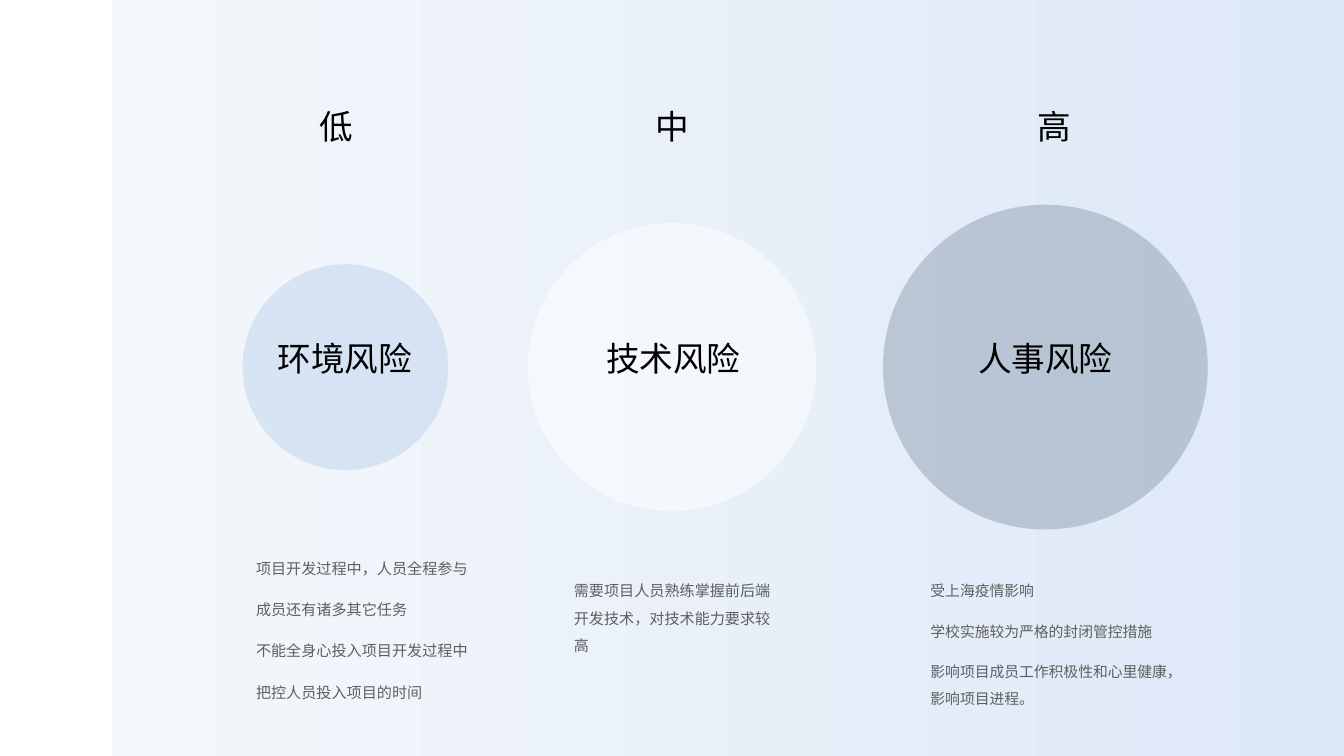
import pptx
import pptx.util
import pptx.dml.color
import pptx.enum.shapes
import pptx.enum.text
import pptx.oxml.ns
import lxml.etree
from dataclasses import dataclass

Pt = pptx.util.Pt
Align = pptx.enum.text.PP_ALIGN
Shape = pptx.enum.shapes.MSO_SHAPE


@dataclass(frozen=True)
class Theme:
    font: str = "Calibri"
    ink: str = "000000"
    note_ink: str = "5F5F5F"
    band_start: str = "F4F7FC"
    band_end: str = "DDE8F6"
    low: str = "6F9FD9"
    medium: str = "FFFFFF"
    high: str = "132B49"
    label_size: float = 24
    note_size: float = 10.8
    small_note_size: float = 10.6


def rgb(colour):
    return pptx.dml.color.RGBColor.from_string(colour)


class RiskSlide:
    def __init__(self, slide, theme):
        self.slide = slide
        self.theme = theme

    def shape(self, kind, left, top, width, height):
        shape = self.slide.shapes.add_shape(
            kind, Pt(left), Pt(top), Pt(width), Pt(height))
        shape.shadow.inherit = False
        shape.line.fill.background()
        return shape

    def band(self, left, width, height):
        band = self.shape(Shape.RECTANGLE, left, 0, width, height)
        band.fill.gradient()
        band.fill.gradient_angle = 0
        colours = (self.theme.band_start, self.theme.band_end)
        for stop, colour in zip(band.fill.gradient_stops, colours):
            stop.color.rgb = rgb(colour)
        # Send the band behind the placeholders
        self.slide.shapes._spTree.insert(2, band._element)

    def circle(self, centre_x, centre_y, diameter, colour, opacity):
        circle = self.shape(Shape.OVAL, centre_x - diameter / 2,
                            centre_y - diameter / 2, diameter, diameter)
        circle.fill.solid()
        circle.fill.fore_color.rgb = rgb(colour)
        srgb = circle._element.spPr.find(".//" + pptx.oxml.ns.qn("a:srgbClr"))
        alpha = lxml.etree.SubElement(srgb, pptx.oxml.ns.qn("a:alpha"))
        alpha.set("val", str(opacity * 1000))

    def fill_text(self, frame, lines, size, colour, align, line_spacing):
        frame.word_wrap = True
        frame.auto_size = pptx.enum.text.MSO_AUTO_SIZE.NONE
        frame.vertical_anchor = pptx.enum.text.MSO_ANCHOR.TOP
        frame.margin_left = frame.margin_right = Pt(9.36)
        frame.margin_top = frame.margin_bottom = Pt(5.04)
        for i, line in enumerate(lines):
            paragraph = frame.add_paragraph() if i else frame.paragraphs[0]
            properties = paragraph._p.get_or_add_pPr()
            properties.set("marL", "0")
            properties.set("indent", "0")
            lxml.etree.SubElement(properties, pptx.oxml.ns.qn("a:buNone"))
            paragraph.alignment = align
            paragraph.line_spacing = line_spacing
            paragraph.space_before = Pt(10 if i else 0)
            run = paragraph.add_run()
            run.text = line
            run.font.size = Pt(size)
            run.font.bold = False
            run.font.color.rgb = rgb(colour)
            run.font.name = self.theme.font
            east_asian = lxml.etree.SubElement(
                run._r.get_or_add_rPr(), pptx.oxml.ns.qn("a:ea"))
            east_asian.set("typeface", self.theme.font)

    def label(self, text, centre_x, top):
        width, height = 160, 45
        box = self.slide.shapes.add_textbox(
            Pt(centre_x - width / 2), Pt(top), Pt(width), Pt(height))
        self.fill_text(box.text_frame, [text], self.theme.label_size,
                       self.theme.ink, Align.CENTER, 0.9)

    def notes(self, body, lines, bounds, size):
        body.left, body.top, body.width, body.height = map(Pt, bounds)
        self.fill_text(body.text_frame, lines, size,
                       self.theme.note_ink, Align.LEFT, 1.5)


def main():
    theme = Theme()
    deck = pptx.Presentation()
    deck.slide_width, deck.slide_height = Pt(960), Pt(540)
    page = deck.slides.add_slide(deck.slide_layouts[4])
    risk_slide = RiskSlide(page, theme)

    # Keep one body placeholder per risk
    unused_title, *bodies, unused_body = list(page.placeholders)
    for unused in (unused_title, unused_body):
        unused._element.getparent().remove(unused._element)

    # Background band
    risk_slide.band(80, 880, 540)

    # Level, level centre, risk, risk centre, circle centre, diameter,
    # colour, opacity, notes, notes bounds, notes size
    risks = [
        ("低", 240.5, "环境风险", 246.25, 246.75, 147, theme.low, 20,
         ["项目开发过程中，人员全程参与", "成员还有诸多其它任务",
          "不能全身心投入项目开发过程中", "把控人员投入项目的时间"],
         (173.5, 388, 180, 123), theme.note_size),
        ("中", 480, "技术风险", 481, 480, 206, theme.medium, 50,
         ["需要项目人员熟练掌握前后端开发技术，对技术能力要求较高"],
         (400.5, 404, 160.5, 91), theme.note_size),
        ("高", 753, "人事风险", 746.75, 746.75, 232, theme.high, 20,
         ["受上海疫情影响", "学校实施较为严格的封闭管控措施",
          "影响项目成员工作积极性和心里健康，影响项目进程。"],
         (655.25, 404, 196.5, 119), theme.small_note_size),
    ]

    # One column per risk: circle, level, name and notes
    for body, (level, level_x, risk, risk_x, circle_x, diameter, colour,
               opacity, lines, bounds, size) in zip(bodies, risks):
        risk_slide.circle(circle_x, 262.25, diameter, colour, opacity)
        risk_slide.label(level, level_x, 73.75)
        risk_slide.label(risk, risk_x, 239.75)
        risk_slide.notes(body, lines, bounds, size)

    deck.save("out.pptx")


if __name__ == "__main__":
    main()
